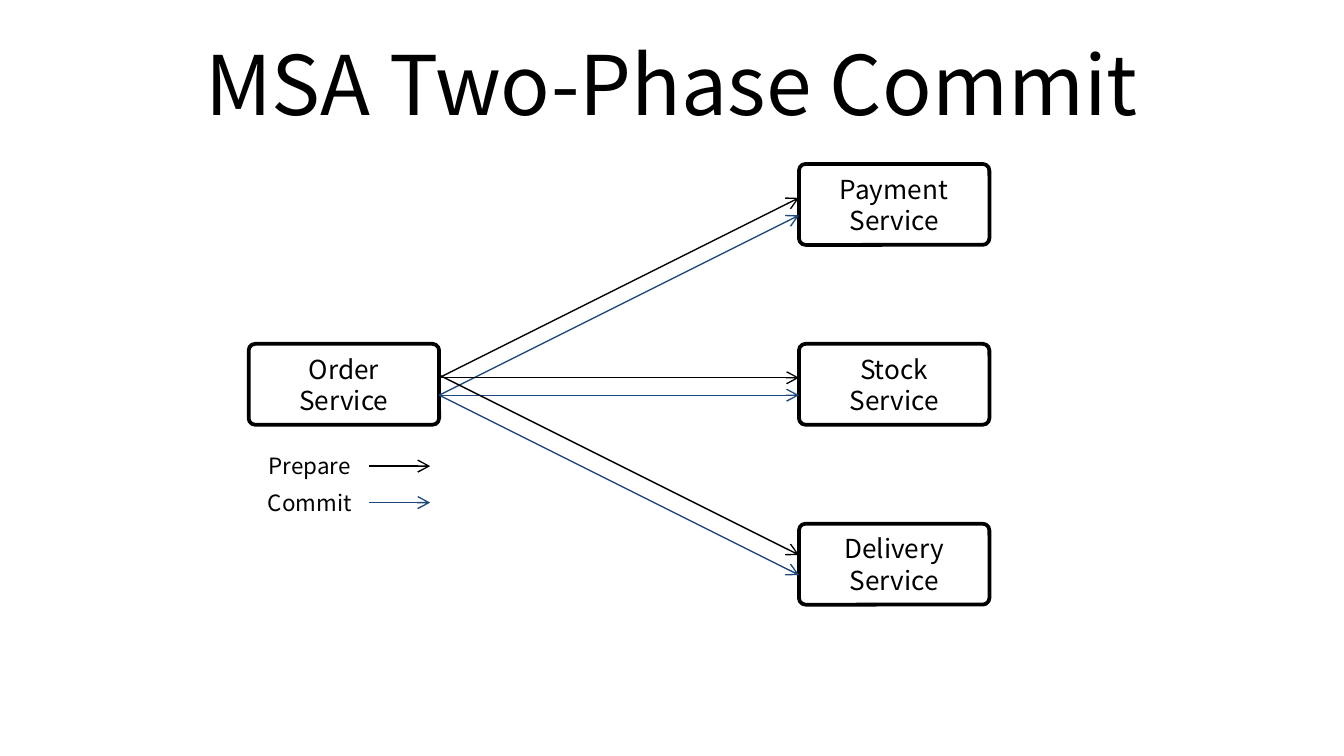
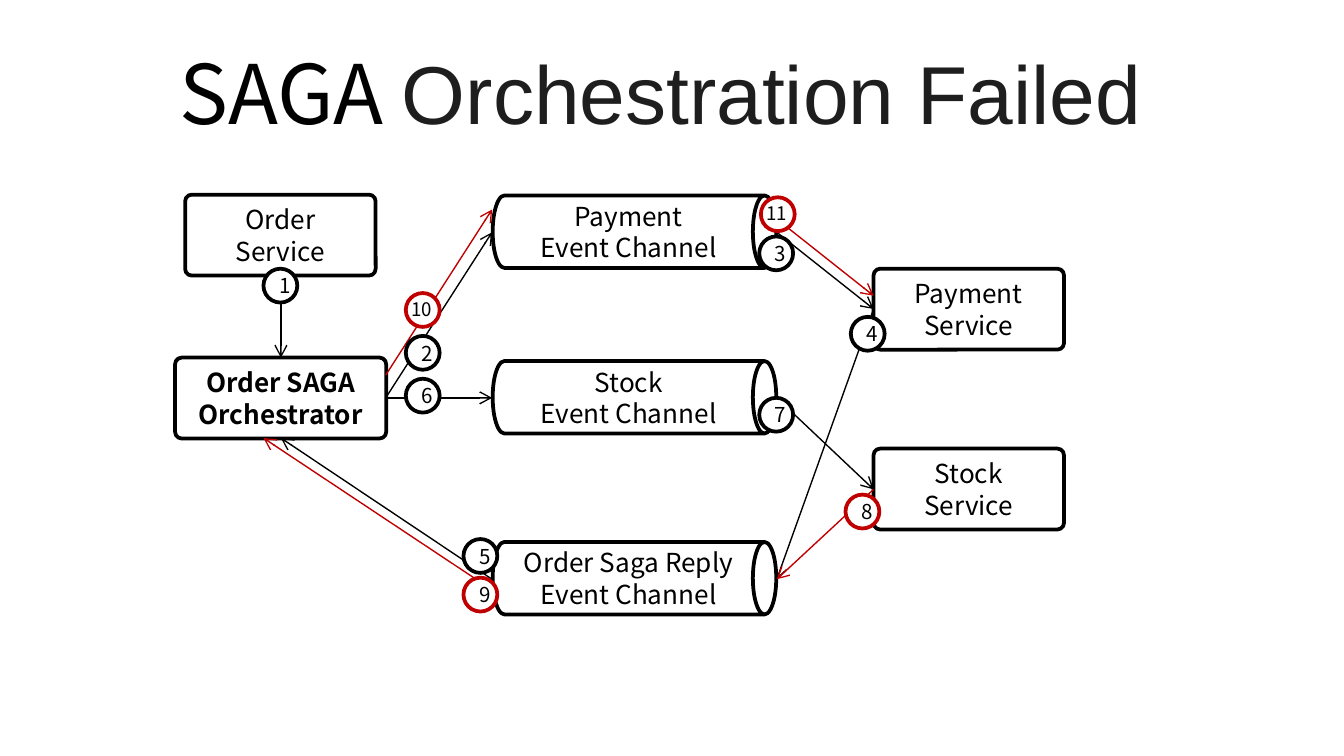
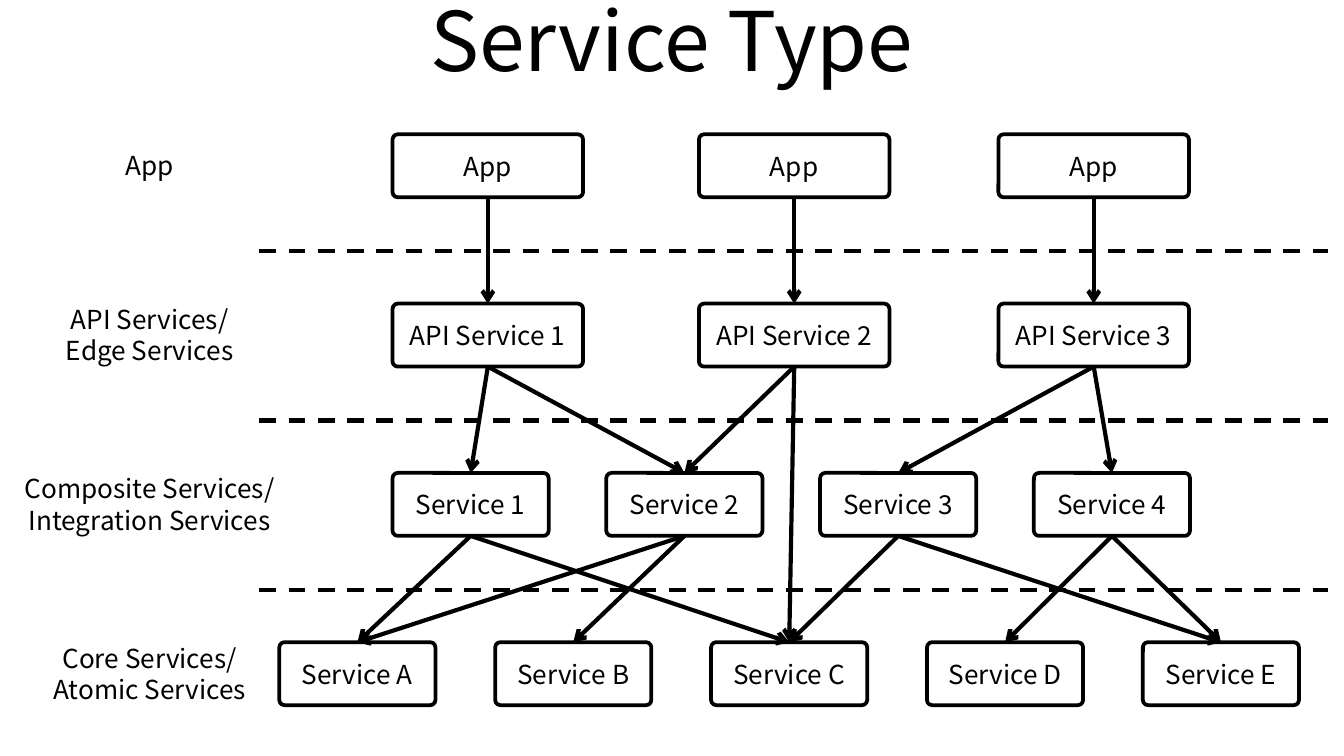
from lxml import etree
from pptx import Presentation
from pptx.dml.color import RGBColor
from pptx.enum.dml import MSO_LINE
from pptx.enum.shapes import MSO_CONNECTOR, MSO_SHAPE
from pptx.enum.text import MSO_ANCHOR, MSO_AUTO_SIZE, PP_ALIGN
from pptx.oxml.ns import qn
from pptx.util import Cm, Pt

BLACK = RGBColor(0x00, 0x00, 0x00)
WHITE = RGBColor(0xFF, 0xFF, 0xFF)
CHARCOAL = RGBColor(0x1E, 0x1E, 0x1E)
BLUE = RGBColor(0x1F, 0x49, 0x7D)
RED = RGBColor(0xC0, 0x00, 0x00)

FONT = "Noto Sans CJK KR"
TITLE_FONT = "Arial"
CENTER, LEFT = PP_ALIGN.CENTER, PP_ALIGN.LEFT
MIDDLE, TOP = MSO_ANCHOR.MIDDLE, MSO_ANCHOR.TOP
FIT_SHAPE = MSO_AUTO_SIZE.SHAPE_TO_FIT_TEXT
ROUNDED, CAN, OVAL = MSO_SHAPE.ROUNDED_RECTANGLE, MSO_SHAPE.CAN, MSO_SHAPE.OVAL
STRAIGHT, DASH = MSO_CONNECTOR.STRAIGHT, MSO_LINE.DASH

TITLE_ONLY = 5
SITE_TOP, SITE_BOTTOM = 0, 2
SERVICE_W, SERVICE_H = 3.6, 1.53
CAN_LENGTH, CAN_DEPTH = 5.36, 1.37
BADGE = 0.64


# Text
def add_span(para, text, size=14, font=FONT, color=BLACK, bold=False):
    span = para.add_run()
    span.text = text
    span.font.name = font
    span.font.size = Pt(size)
    span.font.color.rgb = color
    span.font.bold = bold


def write_text(frame, text, align=CENTER, anchor=MIDDLE, wrap=True, **span_format):
    frame.word_wrap = wrap
    frame.vertical_anchor = anchor
    for index, line in enumerate(text.split("\n")):
        para = frame.add_paragraph() if index else frame.paragraphs[0]
        para.alignment = align
        add_span(para, line, **span_format)


def add_label(slide, text, left, top, width, height, **text_format):
    box = slide.shapes.add_textbox(Cm(left), Cm(top), Cm(width), Cm(height))
    write_text(box.text_frame, text, **text_format)
    box.text_frame.auto_size = FIT_SHAPE


def add_titled_slide(deck, top, *spans):
    slide = deck.slides.add_slide(deck.slide_layouts[TITLE_ONLY])
    title = slide.shapes.title
    title.left, title.top = Cm(1.27), Cm(top)
    title.width, title.height = Cm(22.86), Cm(2.39)
    title.text_frame.vertical_anchor = MIDDLE
    para = title.text_frame.paragraphs[0]
    para.alignment = CENTER
    for text, span_format in spans:
        add_span(para, text, size=44, **span_format)
    return slide


# Shapes
def add_outlined(slide, kind, left, top, width, height, color=BLACK):
    shape = slide.shapes.add_shape(kind, Cm(left), Cm(top), Cm(width), Cm(height))
    shape.shadow.inherit = False
    shape.fill.solid()
    shape.fill.fore_color.rgb = WHITE
    shape.line.color.rgb = color
    shape.line.width = Pt(2)
    return shape


def add_box(slide, text, left, top, width=SERVICE_W, height=SERVICE_H, bold=False):
    box = add_outlined(slide, ROUNDED, left, top, width, height)
    box.adjustments[0] = 0.082
    write_text(box.text_frame, text, bold=bold)
    return box


def add_channel(slide, text, center_x, center_y):
    """A can lying on its side, with its text kept level."""
    can = add_outlined(slide, CAN, center_x - CAN_DEPTH / 2, center_y - CAN_LENGTH / 2,
                       CAN_DEPTH, CAN_LENGTH)
    can.adjustments[0] = 0.323
    can.rotation = 90
    write_text(can.text_frame, text)
    can.text_frame._txBody.find(qn("a:bodyPr")).set("vert", "vert270")


def add_badge(slide, number, left, top, color):
    badge = add_outlined(slide, OVAL, left, top, BADGE, BADGE, color)
    if number < 10:
        write_text(badge.text_frame, str(number), size=11)
    else:
        add_label(slide, str(number), left - 0.15, top - 0.03, 0.91, 0.69,
                  size=10, align=LEFT, anchor=TOP, wrap=False)


# Lines
def add_line(slide, start, end, color=BLACK, width=0.75, dash=None, arrow=True):
    line = slide.shapes.add_connector(STRAIGHT, *(Cm(value) for value in start + end))
    line.line.color.rgb = color
    line.line.width = Pt(width)
    if dash:
        line.line.dash_style = dash
    properties = line._element.spPr
    if arrow:
        outline = properties.find(qn("a:ln"))
        etree.SubElement(outline, qn("a:tailEnd")).set("type", "arrow")
    etree.SubElement(properties, qn("a:effectLst"))
    return line


def link_down(slide, upper, lower):
    line = add_line(slide, (0, 0), (0, 0), width=2.25)
    line.begin_connect(upper, SITE_BOTTOM)
    line.end_connect(lower, SITE_TOP)


# Slides
def build_two_phase_commit(deck):
    slide = add_titled_slide(deck, 0.36, ("MSA Two-Phase Commit", {}))
    order_left, target_left, middle_top, pitch = 4.7, 15.1, 6.5, 3.4
    add_box(slide, "Order\nService", order_left, middle_top)
    for step, name in zip((-1, 0, 1), ("Payment", "Stock", "Delivery")):
        add_box(slide, f"{name}\nService", target_left, middle_top + step * pitch)

    # Both phases fan out to the three services
    for color, starts in ((BLUE, (7.47, 7.47, 7.47)), (BLACK, (7.14, 7.14, 7.09))):
        for step, y in zip((-1, 0, 1), starts):
            add_line(slide, (order_left + SERVICE_W, y), (target_left, y + step * pitch), color)

    # Legend
    for text, y, color in (("Prepare", 8.81, BLACK), ("Commit", 9.5, BLUE)):
        add_line(slide, (6.98, y), (8.13, y), color)
        add_label(slide, text, order_left, y - 0.38, 2.31, 0.76, size=12)


def build_saga_failed(deck):
    slide = add_titled_slide(deck, 0.53, ("SAGA ", {}),
                             ("Orchestration Failed ", {"font": TITLE_FONT, "color": CHARCOAL}))
    add_box(slide, "Order\nService", 3.5, 3.68)
    add_box(slide, "Order SAGA\nOrchestrator", 3.31, 6.76, width=3.99, bold=True)
    add_box(slide, "Payment\nService", 16.51, 5.08)
    add_box(slide, "Stock\nService", 16.51, 8.48)
    for name, center_y in (("Payment", 4.38), ("Stock", 7.51), ("Order Saga Reply", 10.93)):
        add_channel(slide, f"{name}\nEvent Channel", 11.99, center_y)

    # Steps in order: arrow start, arrow end, badge corner, colour
    orchestrator, channel_in, channel_out, service = 7.29, 9.3, 14.68, 16.51
    steps = [
        ((5.31, 5.21), (5.31, 6.76), (4.98, 5.08), BLACK),
        ((orchestrator, 7.52), (channel_in, 4.39), (7.67, 6.35), BLACK),
        ((channel_out, 4.39), (service, 5.84), (14.35, 4.47), BLACK),
        ((service, 5.84), (channel_out, 10.95), (16.08, 5.99), BLACK),
        ((channel_in, 10.95), (5.31, 8.28), (8.76, 10.19), BLACK),
        ((orchestrator, 7.52), (channel_in, 7.52), (7.67, 7.16), BLACK),
        ((channel_out, 7.52), (service, 9.25), (14.35, 7.52), BLACK),
        ((service, 9.25), (channel_out, 10.95), (15.98, 9.35), RED),
        ((channel_in, 11.15), (4.98, 8.28), (8.76, 10.92), RED),
        ((orchestrator, 7.09), (channel_in, 3.96), (7.67, 5.54), RED),
        ((channel_out, 4.14), (service, 5.59), (14.38, 3.73), RED),
    ]
    for start, end, _, color in steps:
        add_line(slide, start, end, color)
    for number, (_, _, corner, color) in enumerate(steps, start=1):
        add_badge(slide, number, *corner, color)


def build_service_type(deck):
    slide = add_titled_slide(deck, -0.46, ("Service Type", {}))
    first_top, row_pitch, box_height, narrow = 2.54, 3.2, 1.19, 2.95
    wide_lefts = (7.42, 13.21, 18.87)
    composite_lefts = [7.42 + 4.04 * column for column in range(4)]
    core_lefts = [5.28 + 4.08 * column for column in range(5)]
    # Layer label, label width, box names, box lefts, box width
    layers = [
        ("App", 3.02, ["App"] * 3, wide_lefts, SERVICE_W),
        ("API Services/\nEdge Services", 3.89,
         [f"API Service {number}" for number in (1, 2, 3)], wide_lefts, SERVICE_W),
        ("Composite Services/\nIntegration Services", 5.26,
         [f"Service {number}" for number in (1, 2, 3, 4)], composite_lefts, narrow),
        ("Core Services/\nAtomic Services", 4.9,
         [f"Service {letter}" for letter in "ABCDE"], core_lefts, narrow),
    ]
    rows = []
    for index, (label, label_width, names, lefts, width) in enumerate(layers):
        top = first_top + index * row_pitch
        if index:
            divider = top - 0.99
            add_line(slide, (4.9, divider), (25.1, divider), width=2.25, dash=DASH, arrow=False)
        rows.append([add_box(slide, name, left, top, width, box_height)
                     for name, left in zip(names, lefts)])
        label_height = 1.45 if "\n" in label else 0.86
        add_label(slide, label, 2.83 - label_width / 2,
                  top + (box_height - label_height) / 2, label_width, label_height, anchor=TOP)

    # Calls from each layer to the next, as pairs of columns
    calls = [
        [(0, 0), (1, 1), (2, 2)],
        [(0, 0), (0, 1), (1, 1), (2, 2), (2, 3)],
        [(0, 0), (0, 2), (1, 0), (1, 1), (2, 2), (2, 4), (3, 3), (3, 4)],
    ]
    for upper, lower, pairs in zip(rows, rows[1:], calls):
        for caller, called in pairs:
            link_down(slide, upper[caller], lower[called])
    # API Service 2 also calls Service C directly
    link_down(slide, rows[1][1], rows[3][2])


def main():
    deck = Presentation()
    deck.slide_width, deck.slide_height = Cm(25.4), Cm(14.29)
    build_two_phase_commit(deck)
    build_saga_failed(deck)
    build_service_type(deck)
    deck.save("out.pptx")


if __name__ == "__main__":
    main()
